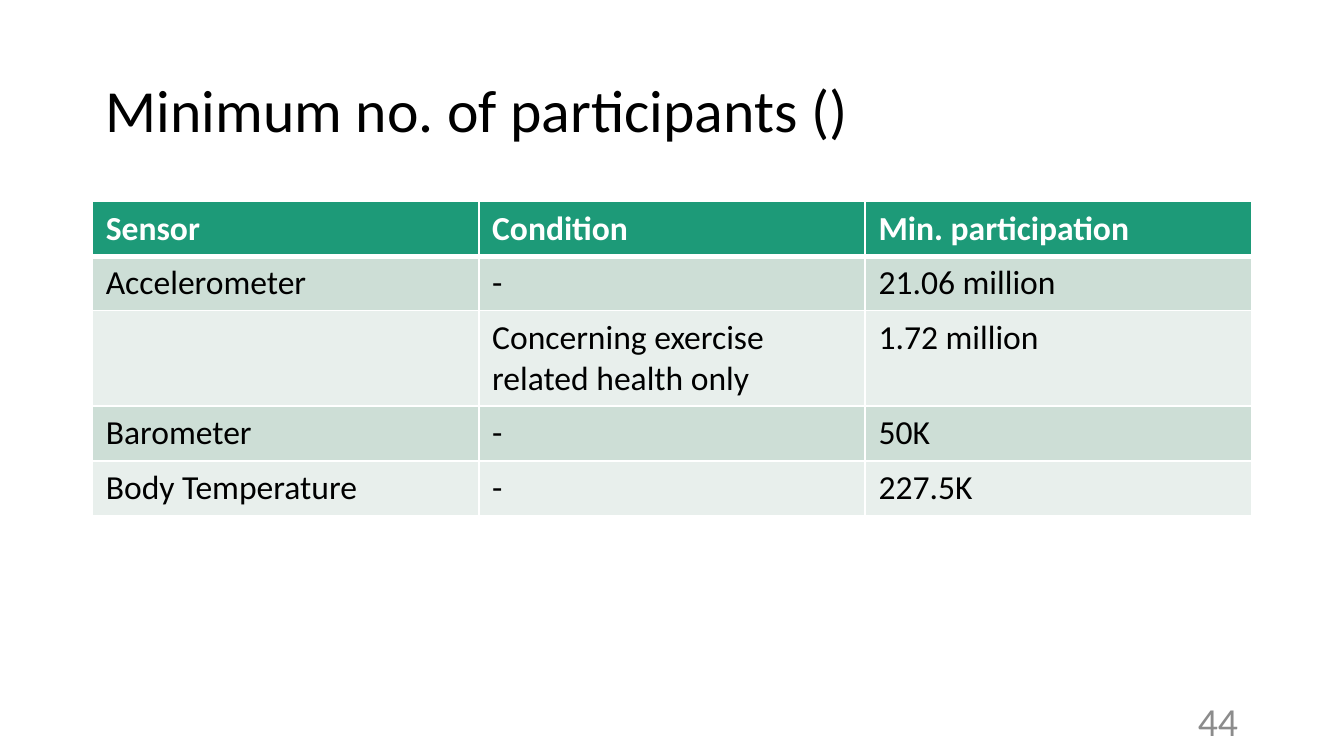
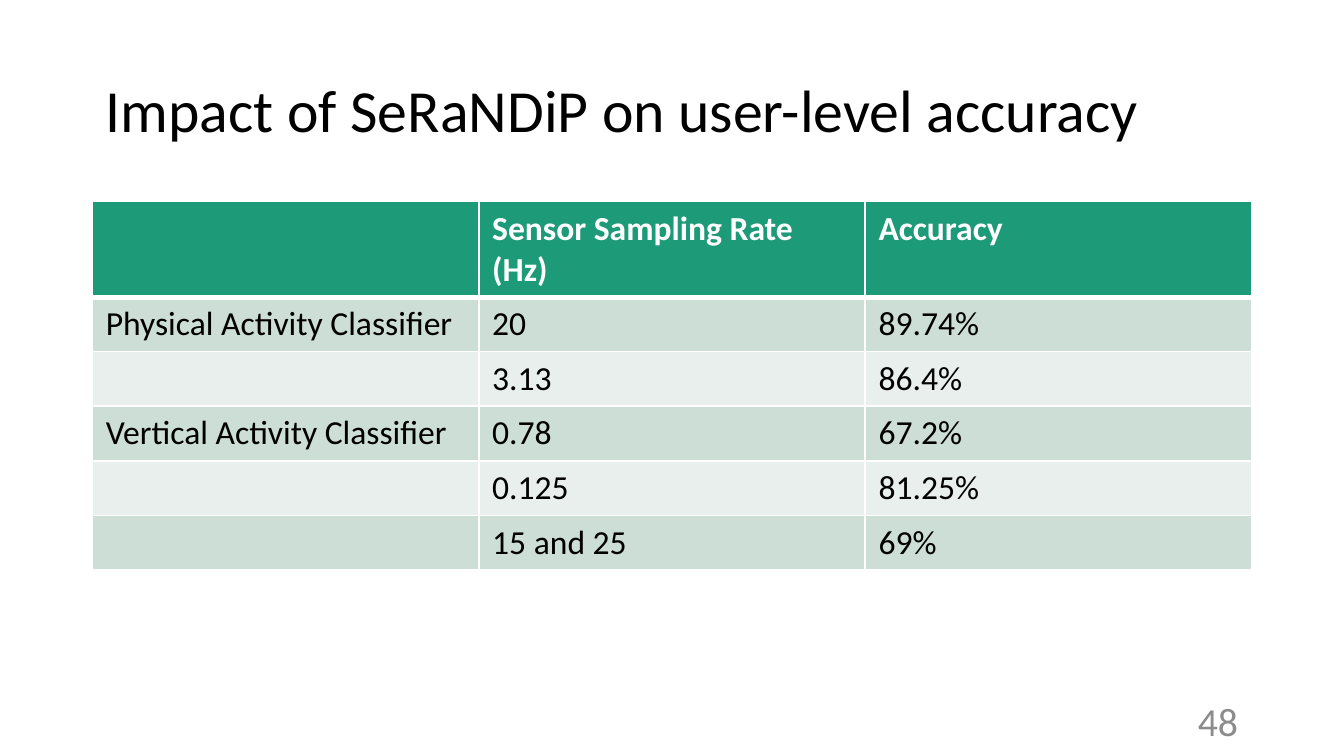
from dataclasses import dataclass

from lxml import etree
from pptx import Presentation
from pptx.dml.color import RGBColor
from pptx.enum.text import MSO_ANCHOR, MSO_AUTO_SIZE, PP_ALIGN
from pptx.oxml.ns import qn
from pptx.util import Inches, Pt

LEFT, RIGHT = PP_ALIGN.LEFT, PP_ALIGN.RIGHT
MIDDLE = MSO_ANCHOR.MIDDLE
NO_AUTOFIT = MSO_AUTO_SIZE.NONE

FONT = "Calibri"
COLORS = {
    "text": "000000",
    "white": "FFFFFF",
    "header": "1D9A78",
    "band_dark": "CDDED6",
    "band_light": "E8EFEC",
    "number": "8C8C8C",
}
TITLE_ONLY = 5
SLIDE_WIDTH = Inches(10)
SLIDE_HEIGHT = SLIDE_WIDTH * 9 // 16
MARGIN = Inches(11) // 16
CONTENT_WIDTH = SLIDE_WIDTH - 2 * MARGIN
TABLE_TOP = Inches(1.5)
ROW_HEIGHT = Inches(2.03) // 5
THIN, THICK = Pt(1), Pt(3)


@dataclass(frozen=True)
class TextStyle:
    """Look of one kind of text."""
    size: float
    color: str
    bold: bool = False
    align: PP_ALIGN = LEFT
    line_spacing: float = 1.0


@dataclass(frozen=True)
class TablePage:
    """Content of one slide with a title and a table."""
    title: str
    number: int
    rows: tuple[tuple[str, ...], ...]


TITLE = TextStyle(32, "text", line_spacing=0.9)
HEADER = TextStyle(18, "white", bold=True)
BODY = TextStyle(18, "text")
NUMBER = TextStyle(21.3, "number", align=RIGHT)

PAGES = (
    TablePage("Minimum no. of participants ()", 44, (
        ("Sensor", "Condition", "Min. participation"),
        ("Accelerometer", "-", "21.06 million"),
        ("", "Concerning exercise related health only", "1.72 million"),
        ("Barometer", "-", "50K"),
        ("Body Temperature", "-", "227.5K"),
    )),
    TablePage("Impact of SeRaNDiP on user-level accuracy", 48, (
        ("", "Sensor Sampling Rate (Hz)", "Accuracy"),
        ("Physical Activity Classifier", "20", "89.74%"),
        ("", "3.13", "86.4%"),
        ("Vertical Activity Classifier", "0.78", "67.2%"),
        ("", "0.125", "81.25%"),
        ("", "15 and 25", "69%"),
    )),
)


def set_attributes(target, values: dict) -> None:
    """Set each named attribute on the target."""
    for name, value in values.items():
        setattr(target, name, value)


def write_text(frame, text: str, style: TextStyle) -> None:
    """Write one styled paragraph into a text frame."""
    para = frame.paragraphs[0]
    set_attributes(para, {"alignment": style.align, "line_spacing": style.line_spacing})
    if not text:
        return
    span = para.add_run()
    span.text = text
    set_attributes(span.font, {"name": FONT, "size": Pt(style.size), "bold": style.bold})
    span.font.color.rgb = RGBColor.from_string(COLORS[style.color])


def add_borders(cell, top: int, bottom: int) -> None:
    """Draw white borders around a table cell."""
    properties = cell._tc.get_or_add_tcPr()
    for side, width in {"lnL": THIN, "lnR": THIN, "lnT": top, "lnB": bottom}.items():
        line = etree.SubElement(properties, qn(f"a:{side}"), w=str(width))
        fill = etree.SubElement(line, qn("a:solidFill"))
        etree.SubElement(fill, qn("a:srgbClr"), val=COLORS["white"])


def add_banded_table(page, rows: tuple[tuple[str, ...], ...]) -> None:
    """Add a table with a header row and alternating bands."""
    table = page.shapes.add_table(
        len(rows), len(rows[0]), MARGIN, TABLE_TOP, CONTENT_WIDTH, ROW_HEIGHT * len(rows)
    ).table
    for row_index, texts in enumerate(rows):
        band = "band_dark" if row_index % 2 else "band_light"
        color, style = (band, BODY) if row_index else ("header", HEADER)
        top = THICK if row_index == 1 else THIN
        bottom = THIN if row_index else THICK
        for column_index, text in enumerate(texts):
            cell = table.cell(row_index, column_index)
            add_borders(cell, top, bottom)
            cell.fill.solid()
            cell.fill.fore_color.rgb = RGBColor.from_string(COLORS[color])
            write_text(cell.text_frame, text, style)


def add_page_number(page, number: int) -> None:
    """Add the number at the lower right."""
    box = page.shapes.add_textbox(Inches(7.06), Inches(5.21), Inches(2.25), Inches(0.3))
    set_attributes(box.text_frame, {"word_wrap": True, "vertical_anchor": MIDDLE})
    write_text(box.text_frame, str(number), NUMBER)


def add_title(page, text: str) -> None:
    """Place and fill the title placeholder."""
    title = page.shapes.title
    set_attributes(title, {
        "left": MARGIN, "top": Inches(0.3), "width": CONTENT_WIDTH, "height": Inches(1.09),
    })
    set_attributes(title.text_frame, {
        "word_wrap": True, "vertical_anchor": MIDDLE, "auto_size": NO_AUTOFIT,
    })
    write_text(title.text_frame, text, TITLE)


def main() -> None:
    """Build and save the deck."""
    deck = Presentation()
    set_attributes(deck, {"slide_width": SLIDE_WIDTH, "slide_height": SLIDE_HEIGHT})
    for content in PAGES:
        page = deck.slides.add_slide(deck.slide_layouts[TITLE_ONLY])
        add_title(page, content.title)
        add_banded_table(page, content.rows)
        add_page_number(page, content.number)
    deck.save("out.pptx")


if __name__ == "__main__":
    main()
